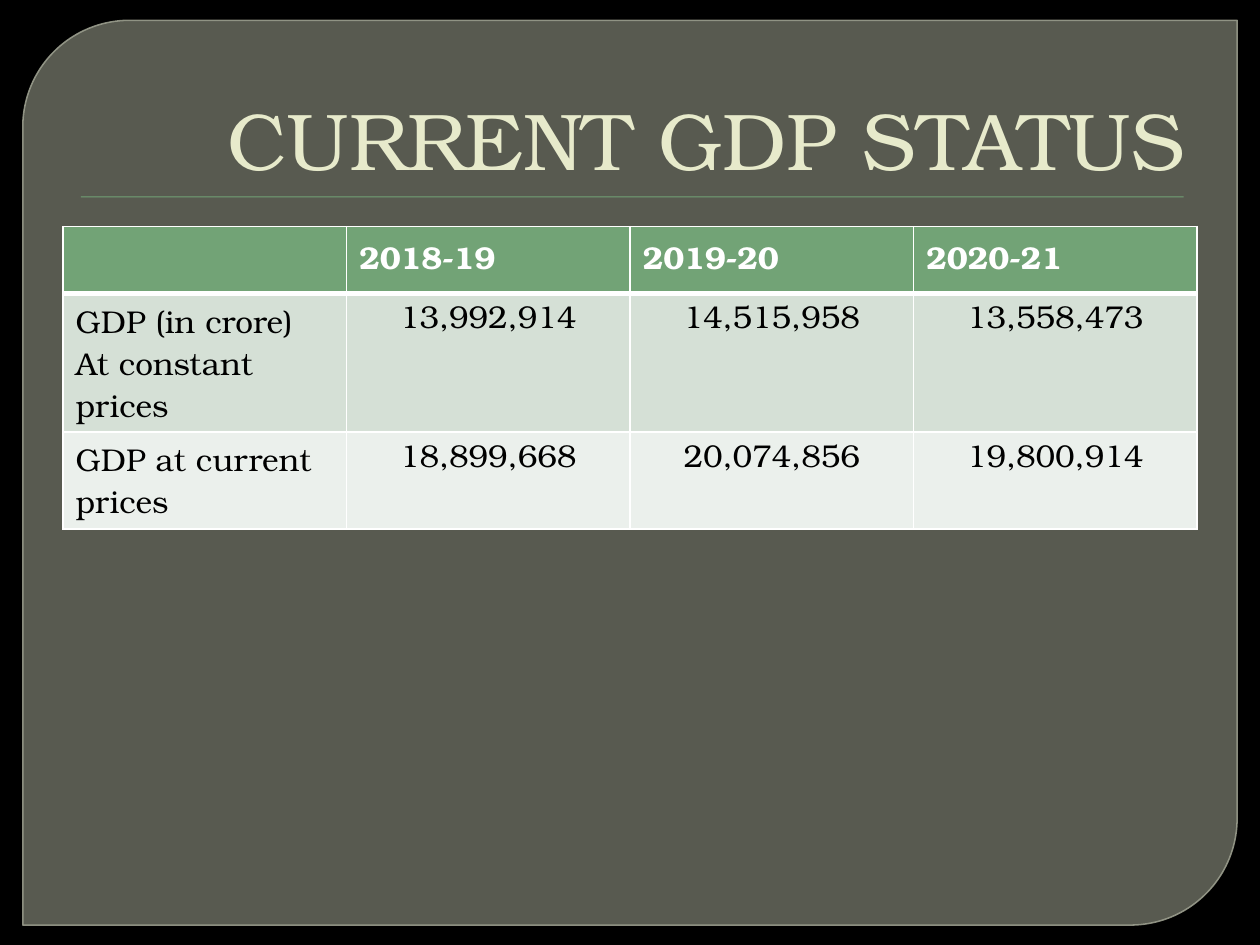
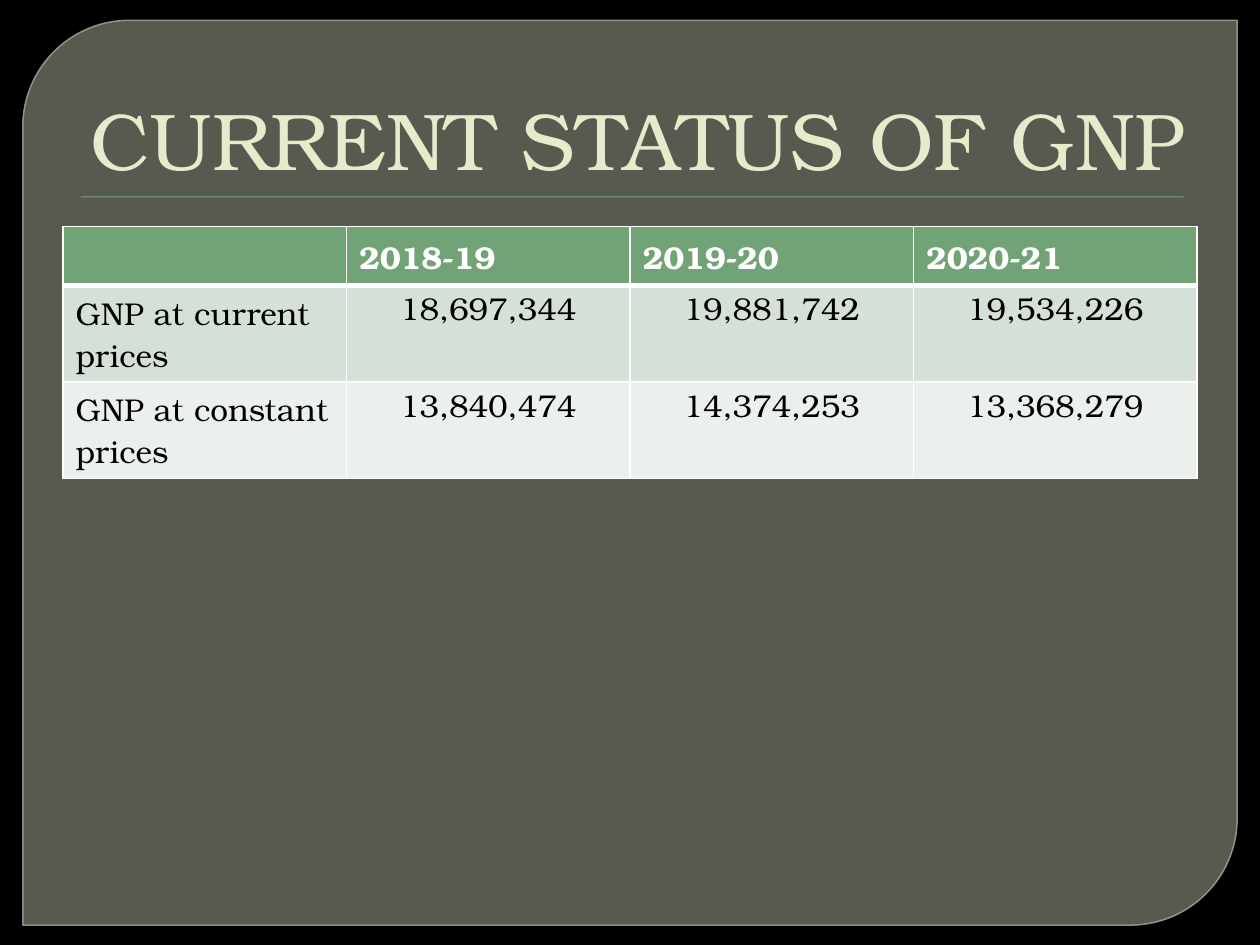
from lxml.etree import SubElement
from pptx import Presentation
from pptx.dml.color import RGBColor
from pptx.enum.shapes import MSO_SHAPE as Preset
from pptx.enum.text import MSO_ANCHOR as Anchor, PP_ALIGN as Align
from pptx.oxml import parse_xml
from pptx.oxml.ns import nsdecls, qn
from pptx.util import Cm, Pt

YEARS = ["2018-19", "2019-20", "2020-21"]


def color(hex_text):
    return RGBColor.from_string(hex_text)


class Deck:
    FONT = "TeX Gyre Bonum"
    BLACK, WHITE = "000000", "FFFFFF"
    PANEL, PANEL_EDGE = "888B7B", "9DA090"
    GREEN, TITLE = "72A376", "E7EACB"
    BANDS = ["D5E0D6", "EBF0EC"]

    def __init__(self):
        self.presentation = Presentation()
        self.presentation.slide_width = Cm(25.4)
        self.presentation.slide_height = Cm(19.05)
        self.slide = None

    def new_slide(self, title):
        layout = self.presentation.slide_layouts[6]
        self.slide = self.presentation.slides.add_slide(layout)
        background = self.slide.background.fill
        background.solid()
        background.fore_color.rgb = color(self.BLACK)
        self.panel()
        self.title_rule()
        self.title(title)

    def shape(self, preset, left, top, width, height, fill):
        shape = self.slide.shapes.add_shape(
            preset, Cm(left), Cm(top), Cm(width), Cm(height))
        shape.shadow.inherit = False
        shape.fill.solid()
        shape.fill.fore_color.rgb = color(fill)
        shape.line.fill.background()
        return shape

    def set_opacity(self, fill_parent, percent):
        color_element = fill_parent.find(qn("a:solidFill"))[0]
        SubElement(color_element, qn("a:alpha"), val=str(percent * 1000))

    def panel(self):
        panel = self.shape(Preset.ROUND_2_DIAG_RECTANGLE,
                           0.46, 0.41, 24.48, 18.24, self.PANEL)
        panel.adjustments[0] = 0.118
        panel.line.color.rgb = color(self.PANEL_EDGE)
        panel.line.width = Pt(0.87)
        properties = panel.element.spPr
        self.set_opacity(properties, 65)
        self.set_opacity(properties.find(qn("a:ln")), 88)

    def title_rule(self):
        self.shape(Preset.RECTANGLE, 1.63, 3.96, 22.23, 0.02, self.GREEN)

    def title(self, text):
        box = self.slide.shapes.add_textbox(
            Cm(1.27), Cm(0.71), Cm(22.86), Cm(3.18))
        frame = box.text_frame
        frame.word_wrap = True
        frame.vertical_anchor = Anchor.BOTTOM
        paragraph = frame.paragraphs[0]
        paragraph.alignment = Align.RIGHT
        self.run(paragraph, text, 46, self.TITLE)

    def run(self, paragraph, text, size, text_color, bold=False):
        run = paragraph.add_run()
        run.text = text
        run.font.name = self.FONT
        run.font.size = Pt(size)
        run.font.bold = bold
        run.font.color.rgb = color(text_color)

    def cell(self, cell, text, fill, text_color, bold=False):
        cell.fill.solid()
        cell.fill.fore_color.rgb = color(fill)
        for index, line in enumerate(text.splitlines()):
            frame = cell.text_frame
            paragraph = frame.add_paragraph() if index else frame.paragraphs[0]
            self.run(paragraph, line, 18, text_color, bold)

    def borders(self, cell, top=1, bottom=1):
        properties = cell._tc.get_or_add_tcPr()
        widths = {"lnL": 1, "lnR": 1, "lnT": top, "lnB": bottom}
        for index, (side, width) in enumerate(widths.items()):
            properties.insert(index, parse_xml(
                f'<a:{side} {nsdecls("a")} w="{Pt(width)}"><a:solidFill>'
                f'<a:srgbClr val="{self.WHITE}"/></a:solidFill></a:{side}>'))

    def table(self, rows, heights):
        columns = len(YEARS) + 1
        table = self.slide.shapes.add_table(
            len(rows) + 1, columns, Cm(1.27), Cm(4.57),
            Cm(22.86), Cm(sum(heights))).table
        for row, height in zip(table.rows, heights):
            row.height = Cm(height)

        # Header row
        for column, year in enumerate(["", *YEARS]):
            cell = table.cell(0, column)
            self.cell(cell, year, self.GREEN, self.WHITE, bold=True)
            self.borders(cell, bottom=3)

        # Banded rows: a label, then one centred value per year
        for index, values in enumerate(rows):
            for column, text in enumerate(values):
                cell = table.cell(index + 1, column)
                self.cell(cell, text, self.BANDS[index % 2], self.BLACK)
                self.borders(cell, top=1 if index else 3)
                if column:
                    cell.margin_left = cell.margin_right = Cm(0.03)
                    cell.margin_top, cell.margin_bottom = Cm(0.03), Cm(0)
                    cell.text_frame.paragraphs[0].alignment = Align.CENTER


def main():
    deck = Deck()

    # GDP
    deck.new_slide("CURRENT GDP STATUS")
    deck.table([
        ["GDP (in crore)\nAt constant prices",
         "13,992,914", "14,515,958", "13,558,473"],
        ["GDP at current prices", "18,899,668", "20,074,856", "19,800,914"],
    ], [1.35, 2.79, 1.95])

    # GNP
    deck.new_slide("CURRENT STATUS OF GNP")
    deck.table([
        ["GNP at current prices", "18,697,344", "19,881,742", "19,534,226"],
        ["GNP at constant prices", "13,840,474", "14,374,253", "13,368,279"],
    ], [1.18, 1.95, 1.95])

    deck.presentation.save("out.pptx")


if __name__ == "__main__":
    main()
